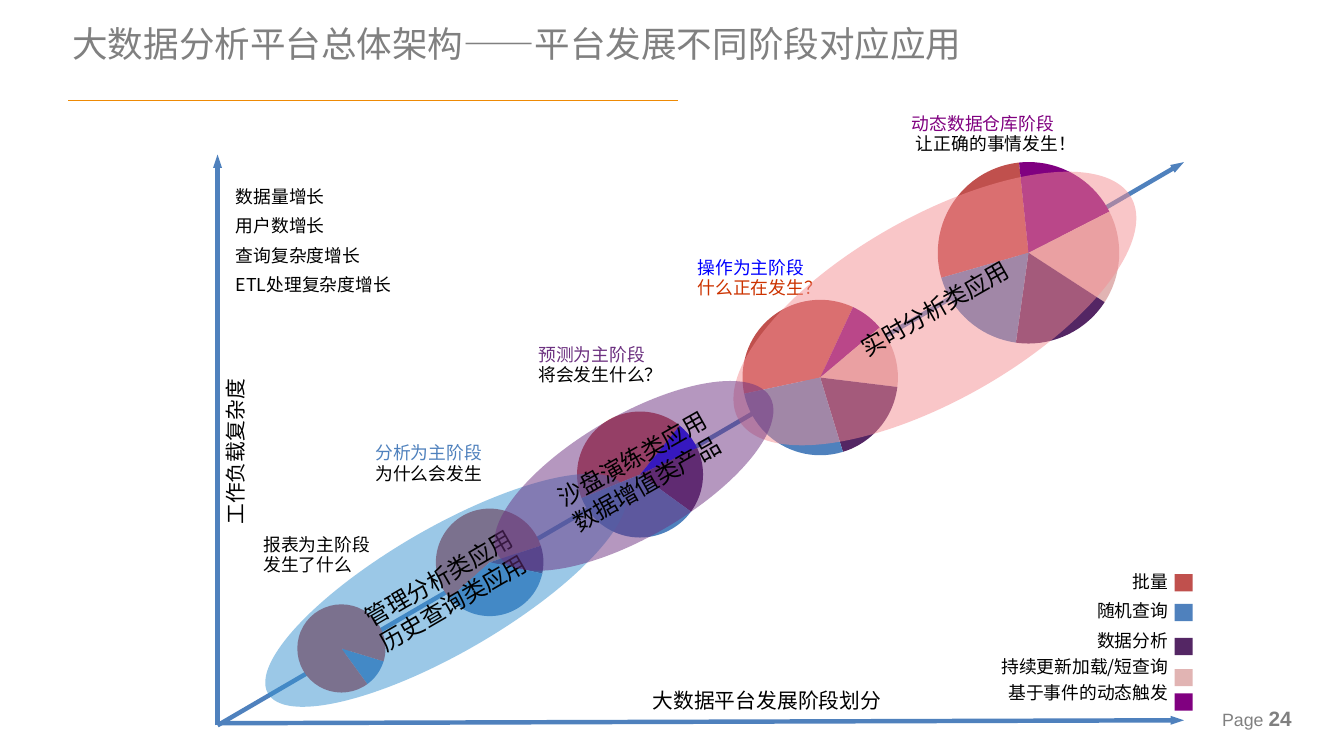
from dataclasses import dataclass

from lxml import etree
from pptx import Presentation
from pptx import util as u
from pptx.dml.color import RGBColor
from pptx.enum import shapes, text
from pptx.oxml.ns import qn


@dataclass(frozen=True)
class Theme:
    cjk: str = "Noto Sans CJK SC"
    latin: str = "Arial"
    black: str = "000000"
    grey: str = "808080"
    rule: str = "EE8A04"
    batch: str = "C0504D"
    query: str = "4F81BD"
    analysis: str = "542664"
    update: str = "E1B4B3"
    event: str = "800080"
    bright: str = "0000FF"
    orange: str = "CC3300"
    violet: str = "6C3080"
    sky: str = "3892D0"
    rose: str = "F48E93"
    title: int = 24
    zone: int = 16
    axis: int = 14
    body: int = 12


@dataclass(frozen=True)
class Box:
    x: float
    y: float
    w: float
    h: float

    def lengths(self):
        return [u.Cm(v) for v in (self.x, self.y, self.w, self.h)]

    def inner(self, dx, dy, w, h):
        return Box(self.x + dx, self.y + dy, w, h)


T = Theme()


def add_run(p, words, size, color=T.black, font=T.cjk, bold=False):
    r = p.add_run()
    r.text = words
    r.font.size = u.Pt(size)
    r.font.bold = bold
    r.font.color.rgb = RGBColor.from_string(color)
    r.font.name = font
    etree.SubElement(r.font._element, qn("a:ea")).set("typeface", font)


def next_paragraph(tf, i):
    return tf.add_paragraph() if i else tf.paragraphs[0]


def add_text(s, box, lines, size, wrap=True, align=None, spacing=None):
    sp = s.shapes.add_textbox(*box.lengths())
    tf = sp.text_frame
    tf.word_wrap = wrap
    for i, (words, color) in enumerate(lines):
        p = next_paragraph(tf, i)
        p.alignment = align
        p.line_spacing = spacing
        add_run(p, words, size, color)
    return sp


def add_line(s, x1, y1, x2, y2, color, width, arrow=False):
    ends = [u.Cm(v) for v in (x1, y1, x2, y2)]
    c = s.shapes.add_connector(shapes.MSO_CONNECTOR.STRAIGHT, *ends)
    c.line.color.rgb = RGBColor.from_string(color)
    c.line.width = u.Pt(width)
    if arrow:
        head = etree.SubElement(c.line._get_or_add_ln(), qn("a:tailEnd"))
        head.set("type", "triangle")
        head.set("w", "sm")
    etree.SubElement(c._element.spPr, qn("a:effectLst"))


def add_filled(s, kind, box, color, alpha=None):
    sp = s.shapes.add_shape(kind, *box.lengths())
    sp.shadow.inherit = False
    sp.fill.solid()
    sp.fill.fore_color.rgb = RGBColor.from_string(color)
    sp.line.fill.background()
    if alpha:
        clr = sp._element.spPr.find(qn("a:solidFill"))[0]
        etree.SubElement(clr, qn("a:alpha")).set("val", str(alpha * 1000))
    return sp


def header(s, box):
    sp = s.shapes.title
    sp.left, sp.top, sp.width, sp.height = box.lengths()
    tf = sp.text_frame
    tf.word_wrap = True
    tf.auto_size = text.MSO_AUTO_SIZE.NONE
    tf.vertical_anchor = text.MSO_ANCHOR.MIDDLE
    p = tf.paragraphs[0]
    p.alignment = text.PP_ALIGN.LEFT
    add_run(p, "大数据分析平台总体架构——平台发展不同阶段对应应用", T.title, T.grey)
    y = box.y + 1.89
    add_line(s, box.x + 0.16, y, box.x + 14.68, y, T.rule, 0.75)


def page_number(s, box):
    tf = s.shapes.add_textbox(*box.lengths()).text_frame
    tf.word_wrap = True
    tf.vertical_anchor = text.MSO_ANCHOR.MIDDLE
    p = tf.paragraphs[0]
    add_run(p, "Page ", T.body, T.grey, T.latin)
    add_run(p, "24", T.axis, T.grey, T.latin, True)


def axes(s, box):
    right, bottom = box.x + box.w, box.y + box.h
    for y1, x2, y2 in (
        (bottom, right, box.y + 0.18),
        (bottom - 0.05, right, bottom - 0.12),
        (bottom, box.x, box.y),
    ):
        add_line(s, box.x, y1, x2, y2, T.query, 3, True)
    sp = add_text(s, box.inner(-1.77, 6.46, 4.36, 0.84), [("工作负载复杂度", T.black)], T.axis, False)
    sp.rotation = 270
    add_text(s, box.inner(10.11, 12.58, 5.99, 0.86), [("大数据平台发展阶段划分", T.black)], T.axis, False)


def item_list(s, idx, box, items, align):
    sp = s.placeholders[idx]
    sp.left, sp.top, sp.width, sp.height = box.lengths()
    tf = sp.text_frame
    tf.word_wrap = True
    tf.auto_size = text.MSO_AUTO_SIZE.NONE
    for i, (words, before) in enumerate(items):
        p = next_paragraph(tf, i)
        pPr = p._p.get_or_add_pPr()
        pPr.set("marL", "0")
        pPr.set("indent", "0")
        etree.SubElement(pPr, qn("a:buNone"))
        p.alignment = align
        p.line_spacing = 0.8
        p.space_before = u.Pt(before if i else 0)
        add_run(p, words, T.body)


def legend(s, box):
    entries = (
        ("批量", 8.4, T.batch, 0.11),
        ("随机查询", 8.4, T.query, 0.82),
        ("数据分析", 8.4, T.analysis, 1.63),
        ("持续更新加载/短查询", 6, T.update, 2.37),
        ("基于事件的动态触发", 6, T.event, 2.95),
    )
    item_list(s, 2, box, [e[:2] for e in entries], text.PP_ALIGN.RIGHT)
    for _, _, color, dy in entries:
        add_filled(s, shapes.MSO_SHAPE.RECTANGLE, box.inner(5.87, dy, 0.43, 0.41), color)


def stage(s, box, wedges, offset, lines, indent=0):
    for i, (start, color) in enumerate(wedges):
        sp = add_filled(s, shapes.MSO_SHAPE.PIE, box, color)
        end = wedges[(i + 1) % len(wedges)][0]
        sp.adjustments[0], sp.adjustments[1] = start * 0.6, end * 0.6
    dx, dy = offset
    label = box.inner(box.w / 2 + dx, box.h / 2 + dy, 6.02, 1.24)
    sp = add_text(s, label, lines, T.body, spacing=0.95)
    if indent:
        sp.text_frame.paragraphs[1]._p.get_or_add_pPr().set("marL", str(u.Cm(indent)))


def zone(s, box, angle, color, lines=()):
    sp = add_filled(s, shapes.MSO_SHAPE.OVAL, box, color, 50)
    sp.rotation = angle
    tf = sp.text_frame
    tf.vertical_anchor = text.MSO_ANCHOR.MIDDLE
    for i, words in enumerate(lines):
        p = next_paragraph(tf, i)
        p.alignment = text.PP_ALIGN.CENTER
        add_run(p, words, T.zone)


def main():
    prs = Presentation()
    prs.slide_width, prs.slide_height = u.Cm(32), u.Cm(18)
    s = prs.slides.add_slide(prs.slide_layouts[3])
    header(s, Box(1.47, 0.5, 22.58, 1.04))
    page_number(s, Box(28.85, 16.76, 3.18, 0.66))
    axes(s, Box(5.18, 3.68, 23.01, 13.59))
    growth = ("数据量增长", "用户数增长", "查询复杂度增长", "ETL处理复杂度增长")
    item_list(s, 1, Box(5.36, 4.39, 4.6, 2.97), [(g, 8.4) for g in growth], text.PP_ALIGN.LEFT)
    legend(s, Box(22.1, 13.56, 5.97, 3.51))

    stage(s, Box(7.08, 14.39, 2.1, 2.1), [(17, T.query), (54, T.batch)],
          (-2.11, -2.82), [("报表为主阶段", T.black), ("发生了什么", T.black)])
    stage(s, Box(10.38, 12.11, 2.56, 2.56), [(138, T.batch), (342, T.analysis), (12, T.query)],
          (-2.97, -2.95), [("分析为主阶段", T.query), ("为什么会发生", T.black)])
    stage(s, Box(13.74, 9.8, 3, 3),
          [(158, T.batch), (309, T.bright), (335, T.analysis), (36, T.query)],
          (-2.67, -3.2), [("预测为主阶段", T.violet), ("将会发生什么？", T.black)])
    stage(s, Box(17.68, 7.14, 3.7, 3.7),
          [(168, T.batch), (295, T.event), (320, T.update), (7, T.analysis), (73, T.query)],
          (-3.17, -2.97), [("操作为主阶段", T.bright), ("什么正在发生？", T.orange)])
    stage(s, Box(22.33, 3.86, 4.32, 4.32),
          [(164, T.batch), (264, T.event), (333, T.update), (33, T.analysis), (98, T.query)],
          (-3.03, -3.43), [("动态数据仓库阶段", T.event), ("让正确的事情发生！", T.black)], 0.1)

    zone(s, Box(5.72, 12.57, 9.8, 2.97), 329.9, T.sky, ["管理分析类应用", "历史查询类应用"])
    zone(s, Box(16.89, 5.16, 10.74, 4.37), 330.5, T.rose, ["实时分析类应用"])
    zone(s, Box(11.35, 9.88, 7.49, 2.9), 329.9, T.violet)
    sandbox = [("沙盘演练类应用", T.black), ("数据增值类产品", T.black)]
    sp = add_text(s, Box(12.22, 10.41, 6.02, 1.63), sandbox, T.zone, False, text.PP_ALIGN.CENTER)
    sp.rotation = 330.5
    prs.save("out.pptx")


if __name__ == "__main__":
    main()
